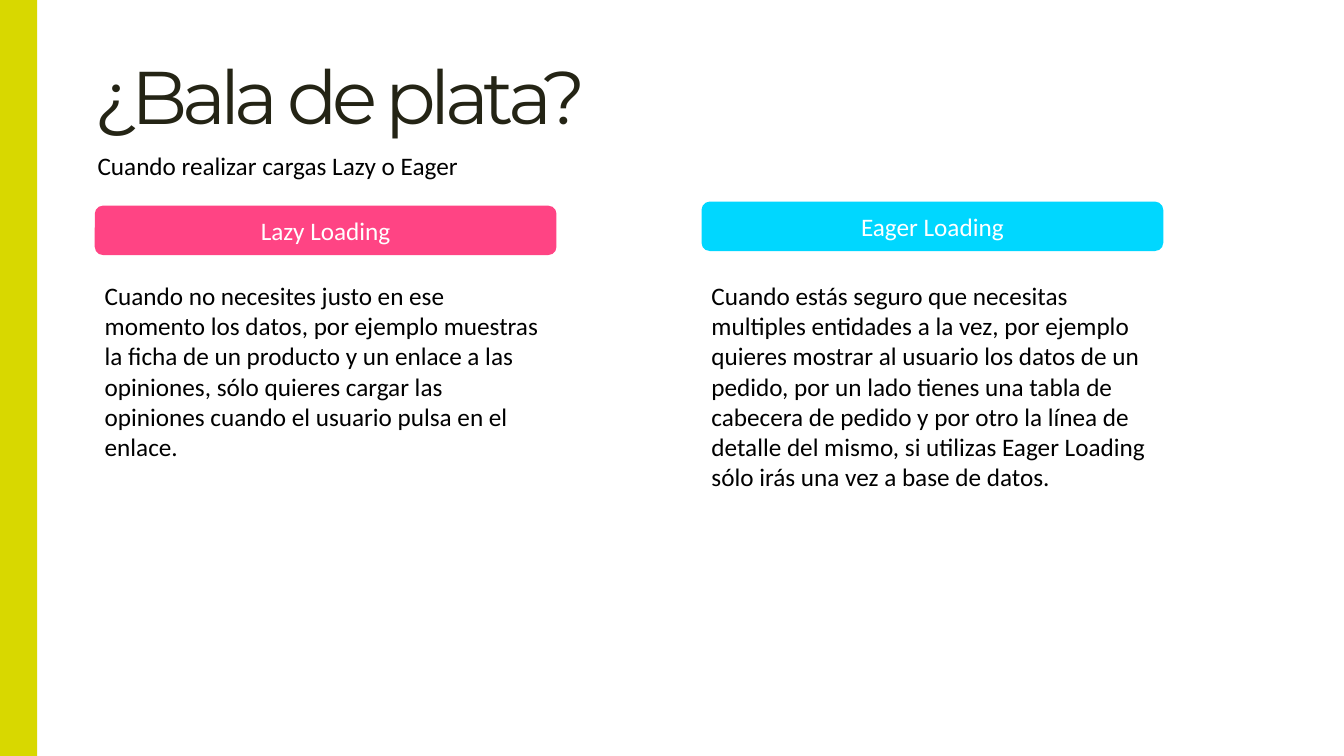
from pptx import Presentation
from pptx.dml.color import RGBColor
from pptx.enum.shapes import MSO_SHAPE as Shape
from pptx.enum.text import MSO_ANCHOR as Anchor, PP_ALIGN as Align
from pptx.util import Pt

OLIVE = RGBColor(0xD8, 0xD8, 0x00)
INK = RGBColor(0x24, 0x24, 0x15)
PINK = RGBColor(0xFF, 0x44, 0x84)
CYAN = RGBColor(0x00, 0xD7, 0xFF)
BLACK = RGBColor(0, 0, 0)
WHITE = RGBColor(255, 255, 255)

TITLE = "¿Bala de plata?"
SUBTITLE = "Cuando realizar cargas Lazy o Eager"
# heading, colour, left, heading top, body height, body
COLUMNS = [
    ("Lazy Loading", PINK, 67.7, 146.9, 138.2,
     "Cuando no necesites justo en ese momento los datos, por ejemplo muestras "
     "la ficha de un producto y un enlace a las opiniones, sólo quieres cargar "
     "las opiniones cuando el usuario pulsa en el enlace."),
    ("Eager Loading", CYAN, 501.1, 144, 159.8,
     "Cuando estás seguro que necesitas multiples entidades a la vez, por ejemplo "
     "quieres mostrar al usuario los datos de un pedido, por un lado tienes una "
     "tabla de cabecera de pedido y por otro la línea de detalle del mismo, si "
     "utilizas Eager Loading sólo irás una vez a base de datos."),
]
COLUMN_WIDTH, HEADING_HEIGHT, BODY_TOP = 329.8, 35.3, 196.6
TEXT_WIDTH = 865.4


def write(shape, text, color, size=18, font="Calibri"):
    shape.text_frame.word_wrap = True
    para = shape.text_frame.paragraphs[0]
    span = para.add_run()
    span.text = text
    span.font.name, span.font.size = font, Pt(size)
    span.font.color.rgb = color
    return para, span


def add_text(page, left, top, width, height):
    return page.shapes.add_textbox(Pt(left), Pt(top), Pt(width), Pt(height))


def add_block(page, kind, left, top, width, height, color):
    block = page.shapes.add_shape(kind, Pt(left), Pt(top), Pt(width), Pt(height))
    block.shadow.inherit = False
    block.fill.solid()
    block.fill.fore_color.rgb = color
    block.line.fill.background()
    return block


def add_title(page):
    box = add_text(page, 67.7, 18.7, TEXT_WIDTH, 85)
    para, span = write(box, TITLE, INK, 53.3, "Montserrat")
    para.line_spacing = 0.9
    span.font._element.set("spc", "-400")
    box.text_frame.margin_left = 0
    box.text_frame.vertical_anchor = Anchor.BOTTOM


def add_column(page, heading, color, left, top, body_height, body):
    bar = add_block(page, Shape.ROUNDED_RECTANGLE, left, top,
                    COLUMN_WIDTH, HEADING_HEIGHT, color)
    bar.text_frame.vertical_anchor = Anchor.MIDDLE
    para, _ = write(bar, heading, WHITE)
    para.alignment = Align.CENTER
    write(add_text(page, left, BODY_TOP, COLUMN_WIDTH, body_height), body, BLACK)


def main():
    deck = Presentation()
    deck.slide_width, deck.slide_height = Pt(960), Pt(540)
    page = deck.slides.add_slide(deck.slide_layouts[6])
    add_title(page)
    add_block(page, Shape.RECTANGLE, 0, 0, 26.6, 540, OLIVE)
    write(add_text(page, 62.6, 103.7, TEXT_WIDTH, 29), SUBTITLE, BLACK)
    for column in COLUMNS:
        add_column(page, *column)
    deck.save("out.pptx")


if __name__ == "__main__":
    main()
